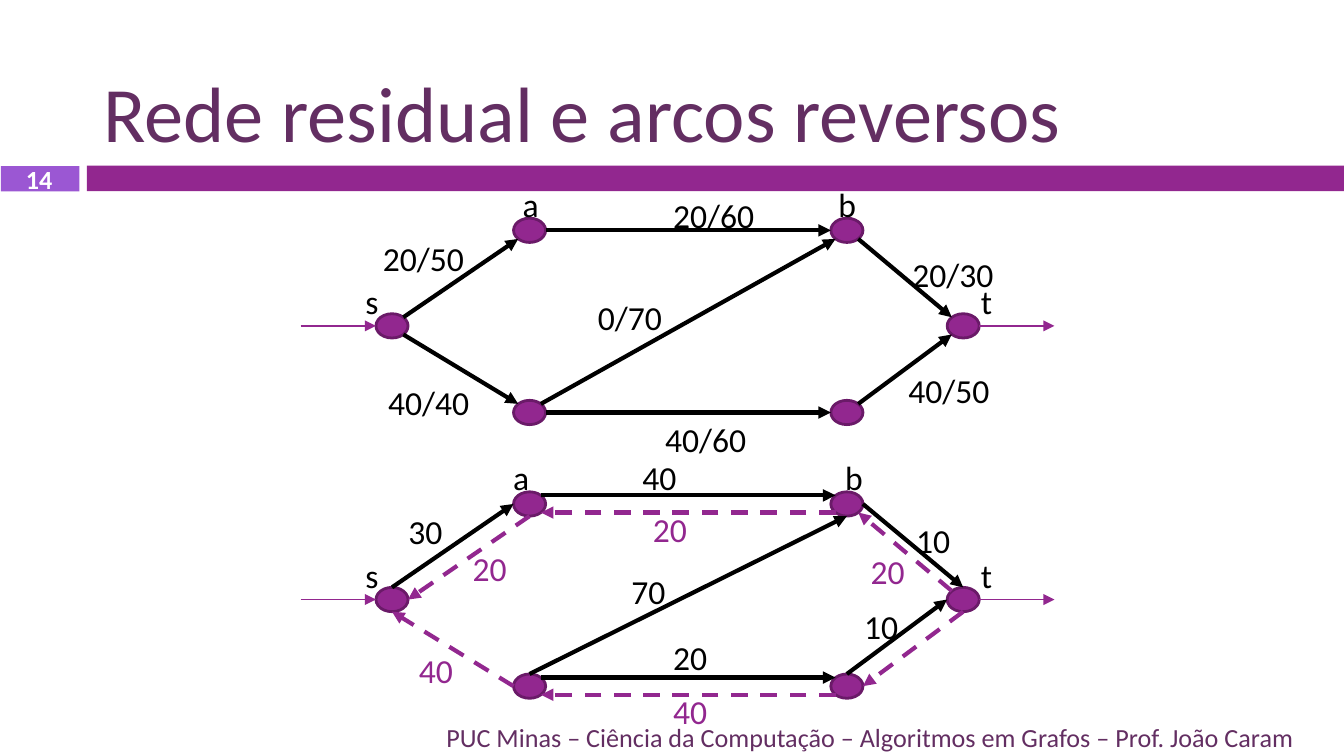
from pptx import Presentation
from pptx.dml.color import RGBColor
from pptx.enum.dml import MSO_LINE_DASH_STYLE as Dash
from pptx.enum.shapes import MSO_CONNECTOR, MSO_SHAPE
from pptx.enum.text import MSO_ANCHOR, MSO_AUTO_SIZE, PP_ALIGN
from pptx.oxml.ns import qn
from pptx.util import Pt
from lxml.etree import SubElement

FONT = "Calibri"
COLORS = {
    "black": "000000", "white": "FFFFFF", "purple": "92278F",
    "outline": "6A1A68", "lilac": "9B57D3", "title": "632E62",
}

# Node centres, measured from the row of node a
NODE_W, NODE_H = 17.2, 13
NODES = {
    "a": (283.7, 0), "b": (453.7, 0), "s": (210, 51.2),
    "t": (516, 51.2), "c": (283.7, 97.6), "d": (453.7, 97.6),
}
# Points on a node's rim, as fractions of its half width and half height
SITES = {
    "top": (0, -1), "left": (-1, 0), "bottom": (0, 1), "right": (1, 0),
    "tl": (-0.71, -0.71), "tr": (0.71, -0.71),
    "bl": (-0.71, 0.71), "br": (0.71, 0.71),
}
STUB = 40.3  # length of the arrows into s and out of t

# Label widths: side insets plus the characters
CHAR_WIDTHS = {"/": 7, "s": 8.6, "t": 6.5, "a": 10, "b": 10.8}
DIGIT_WIDTH, INSETS = 9.1, 14.4

# Arcs: start node, start site, end node, end site
FLOW_ARCS = [
    ("s", "tr", "a", "bl"), ("a", "right", "b", "left"),
    ("b", "br", "t", "tl"), ("c", "tr", "b", "bl"),
    ("s", "br", "c", "tl"), ("c", "right", "d", "left"),
    ("d", "tr", "t", "bl"),
]
RESIDUAL_ARCS = [
    ("s", "top", "a", "left"), ("a", "tr", "b", "tl"),
    ("b", "right", "t", "top"), ("c", "top", "b", "bottom"),
    ("c", "tr", "d", "tl"), ("d", "top", "t", "left"),
]
REVERSE_ARCS = [
    ("a", "bottom", "s", "right"), ("c", "left", "s", "bottom"),
    ("b", "bl", "a", "br"), ("d", "bl", "c", "br"),
    ("t", "bottom", "d", "right"), ("t", "tl", "b", "br"),
]

# Labels: text, left, top
FLOW_LABELS = [
    ("20/50", 198, 123.8), ("20/60", 353.5, 100.8), ("0/70", 313.2, 155.5),
    ("40/40", 200.9, 200.9), ("40/60", 349.2, 221), ("40/50", 479.5, 194.4),
    ("20/30", 481.7, 132.5), ("s", 188.6, 146.9), ("t", 518.4, 146.9),
    ("a", 272.9, 95), ("b", 442.1, 95),
]
RESIDUAL_LABELS = [
    ("30", 211.7, 270), ("40", 337, 241.2), ("70", 331.2, 302.4),
    ("20", 353.5, 337.7), ("10", 455.8, 321.1), ("10", 483.8, 275),
    ("s", 188.6, 293.8), ("t", 518.4, 293.8),
    ("a", 267.8, 241.2), ("b", 445.7, 241.2),
]
REVERSE_LABELS = [
    ("20", 246.2, 290.2), ("40", 217.4, 344.9), ("20", 342.7, 269.3),
    ("40", 353.5, 366.5), ("20", 459.4, 291.6),
]


def rgb(name):
    return RGBColor.from_string(COLORS[name])


def style_text(frame, text, size, color, bold=False, align=PP_ALIGN.LEFT):
    frame.text = text
    para = frame.paragraphs[0]
    para.alignment = align
    font = para.runs[0].font
    font.name, font.size, font.bold = FONT, Pt(size), bold
    font.color.rgb = rgb(color)


def add_title(page, text):
    title = page.shapes.title
    title.left, title.top, title.width, title.height = Pt(48.2), Pt(9.4), Pt(642.2), Pt(79.2)
    frame = title.text_frame
    frame.auto_size = MSO_AUTO_SIZE.NONE
    frame.vertical_anchor = MSO_ANCHOR.BOTTOM
    style_text(frame, text, 42, "title")


def add_solid(page, kind, left, top, width, height, fill, outline=None):
    shape = page.shapes.add_shape(kind, Pt(left), Pt(top), Pt(width), Pt(height))
    shape.shadow.inherit = False
    shape.fill.solid()
    shape.fill.fore_color.rgb = rgb(fill)
    if outline:
        shape.line.color.rgb = rgb(outline)
        shape.line.width = Pt(1.5)
    else:
        shape.line.fill.background()


def add_text(page, text, left, top, width, height, size, color, **style):
    box = page.shapes.add_textbox(Pt(left), Pt(top), Pt(width), Pt(height))
    frame = box.text_frame
    frame.word_wrap = True
    frame.vertical_anchor = MSO_ANCHOR.MIDDLE
    style_text(frame, text, size, color, **style)


def add_label(page, text, left, top, color):
    width = INSETS + sum(CHAR_WIDTHS.get(char, DIGIT_WIDTH) for char in text)
    box = page.shapes.add_textbox(Pt(left), Pt(top), Pt(width), Pt(29))
    frame = box.text_frame
    frame.word_wrap = False
    frame.auto_size = MSO_AUTO_SIZE.SHAPE_TO_FIT_TEXT
    style_text(frame, text, 18, color)


def add_arrow(page, start, end, color, width=2.25, dashed=False):
    arrow = page.shapes.add_connector(MSO_CONNECTOR.STRAIGHT, *map(Pt, start + end))
    arrow.line.color.rgb = rgb(color)
    arrow.line.width = Pt(width)
    if dashed:
        arrow.line.dash_style = Dash.DASH
    SubElement(arrow.line._get_or_add_ln(), qn("a:tailEnd"), type="triangle")
    SubElement(arrow._element.spPr, qn("a:effectLst"))


def rim_point(node, site, top):
    x, y = NODES[node]
    dx, dy = SITES[site]
    return x + dx * NODE_W / 2, top + y + dy * NODE_H / 2


def add_arcs(page, arcs, top, color, dashed=False):
    for start, start_site, end, end_site in arcs:
        add_arrow(page, rim_point(start, start_site, top),
                  rim_point(end, end_site, top), color, dashed=dashed)


def add_nodes(page, top):
    for x, y in NODES.values():
        add_solid(page, MSO_SHAPE.OVAL, x - NODE_W / 2, top + y - NODE_H / 2,
                  NODE_W, NODE_H, "purple", "outline")
    # Arrows into the source and out of the sink
    source_x, source_y = rim_point("s", "left", top)
    sink_x, sink_y = rim_point("t", "right", top)
    add_arrow(page, (source_x - STUB, source_y), (source_x, source_y), "purple", 0.79)
    add_arrow(page, (sink_x, sink_y), (sink_x + STUB, sink_y), "purple", 0.79)


def add_labels(page, labels, color):
    for text, left, top in labels:
        add_label(page, text, left, top, color)


def main():
    deck = Presentation()
    deck.slide_width, deck.slide_height = Pt(720), Pt(405)
    page = deck.slides.add_slide(deck.slide_layouts[5])

    # Title, band, slide number and footer
    add_solid(page, MSO_SHAPE.RECTANGLE, 0.5, 89, 42, 13.6, "lilac")
    add_solid(page, MSO_SHAPE.RECTANGLE, 46.6, 88.8, 673.4, 13.6, "purple")
    add_title(page, "Rede residual e arcos reversos")
    add_text(page, "14", 0, 88.8, 42, 14.4, 14, "white", bold=True, align=PP_ALIGN.CENTER)
    add_text(page, "PUC Minas – Ciência da Computação – Algoritmos em Grafos – Prof. João Caram",
             48.2, 383.8, 652.3, 21.6, 14, "title", align=PP_ALIGN.RIGHT)

    # Residual network with reverse arcs
    residual_top = 270
    add_nodes(page, residual_top)
    add_arcs(page, RESIDUAL_ARCS, residual_top, "black")
    add_arcs(page, REVERSE_ARCS, residual_top, "purple", dashed=True)
    add_labels(page, RESIDUAL_LABELS, "black")
    add_labels(page, REVERSE_LABELS, "purple")

    # Flow network
    flow_top = 123.4
    add_nodes(page, flow_top)
    add_arcs(page, FLOW_ARCS, flow_top, "black")
    add_labels(page, FLOW_LABELS, "black")

    deck.save("out.pptx")


if __name__ == "__main__":
    main()
